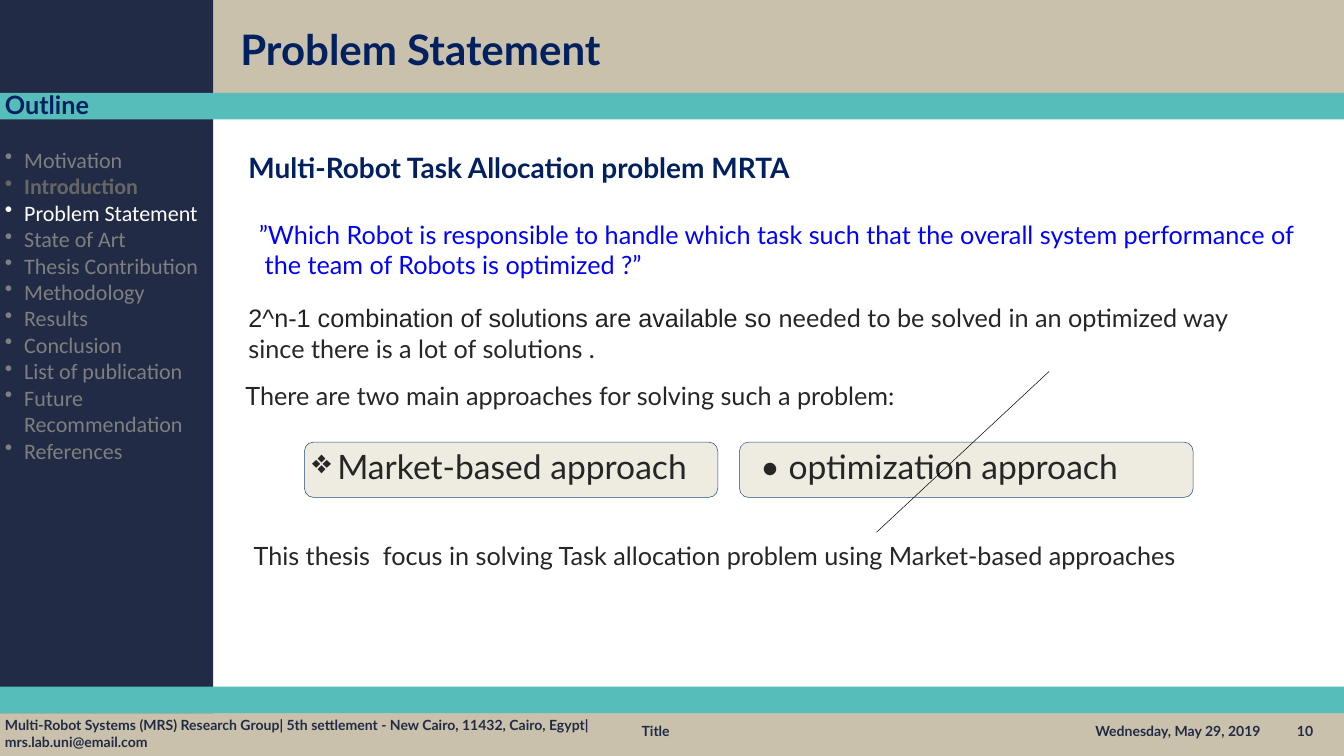
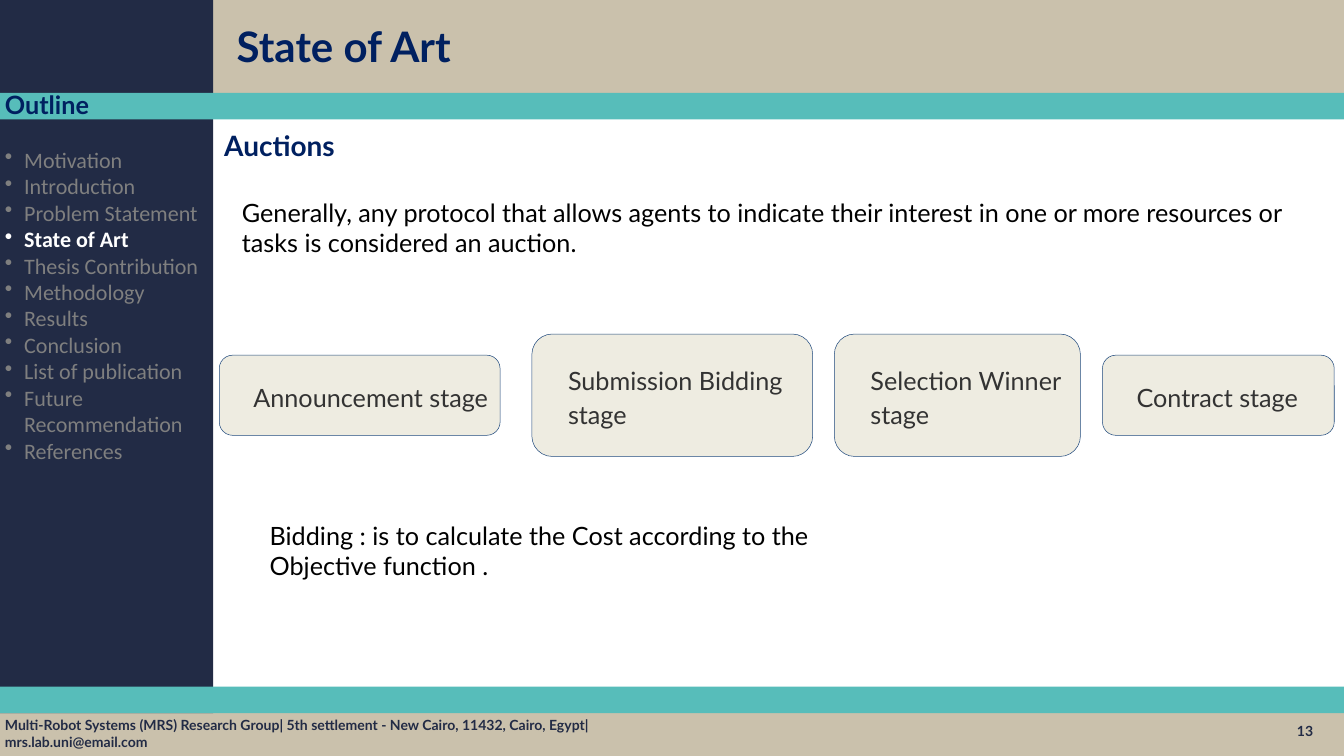
from lxml.etree import SubElement
from pptx import Presentation
from pptx.dml.color import RGBColor
from pptx.enum.shapes import MSO_CONNECTOR, MSO_SHAPE
from pptx.enum.text import MSO_ANCHOR, PP_ALIGN
from pptx.oxml.ns import qn
from pptx.util import Cm, Pt

SAND = RGBColor(0xCA, 0xC1, 0xAC)
INK = RGBColor(0x22, 0x2B, 0x45)
TEAL = RGBColor(0x57, 0xBD, 0xBA)
NAVY = RGBColor(0x00, 0x20, 0x60)
CREAM = RGBColor(0xEE, 0xEC, 0xE1)
EDGE = RGBColor(0x1F, 0x49, 0x7D)
BLUE = RGBColor(0x00, 0x00, 0xFF)
CHARCOAL = RGBColor(0x26, 0x26, 0x26)
COAL = RGBColor(0x22, 0x22, 0x22)
STAGE_TEXT = RGBColor(0x33, 0x33, 0x33)
GREY = RGBColor(0x7F, 0x7F, 0x7F)
DIM = RGBColor(0x66, 0x66, 0x66)
WHITE = RGBColor(0xFF, 0xFF, 0xFF)
BLACK = RGBColor(0x00, 0x00, 0x00)

WIDTH, HEIGHT = 67.72, 38.1
MIDDLE, TOP = MSO_ANCHOR.MIDDLE, MSO_ANCHOR.TOP

BANDS = [  # left, top, width, height, colour
    (0, 35.81, WIDTH, 2.29, SAND),
    (0, 0, WIDTH, 5, SAND),
    (0, 0, 10.74, 35.94, INK),
    (0, 34.6, WIDTH, 1.34, TEAL),
    (0, 4.68, WIDTH, 1.34, TEAL),
]
ADDRESS = ("Multi-Robot Systems (MRS) Research Group| 5th settlement - "
           "New Cairo, 11432, Cairo, Egypt| mrs.lab.uni@email.com")
OUTLINE = ["Motivation", "Introduction", "Problem Statement", "State of Art",
           "Thesis Contribution", "Methodology", "Results", "Conclusion",
           "List of publication", "Future Recommendation", "References"]


def write(shape, lines, size, color, bold=False, font="Lato", anchor=TOP,
          pad=0.25, margin=0, indent=0, bullet=None):
    """Fill a shape with paragraphs of one style and return its paragraphs."""
    frame = shape.text_frame
    frame.word_wrap = True
    frame.vertical_anchor = anchor
    frame.margin_left = frame.margin_right = Cm(0.25)
    frame.margin_top = frame.margin_bottom = Cm(pad)
    frame.text = "\n".join(lines)
    for paragraph in frame.paragraphs:
        paragraph.alignment = PP_ALIGN.LEFT
        properties = paragraph._p.get_or_add_pPr()
        properties.set("marL", str(Cm(margin)))
        properties.set("indent", str(Cm(indent)))
        if bullet:
            SubElement(properties, qn("a:buChar"), char=bullet)
        paragraph.font.name = font
        paragraph.font.size = Pt(size)
        paragraph.font.bold = bold
        paragraph.font.color.rgb = color
    return frame.paragraphs


def add_block(slide, kind, left, top, width, height, fill, line=None):
    block = slide.shapes.add_shape(kind, Cm(left), Cm(top), Cm(width), Cm(height))
    block.shadow.inherit = False
    block.fill.solid()
    block.fill.fore_color.rgb = fill
    if line is None:
        block.line.fill.background()
    else:
        block.line.color.rgb = line
        block.line.width = Pt(0.75)
    return block


deck = Presentation()
deck.slide_width, deck.slide_height = Cm(WIDTH), Cm(HEIGHT)

# Shared frame: bands, title, footer and outline with its highlighted entries
pages = [
    ("Problem Statement", (11.86, 0.66, 27.81, 3.61),
     [("10", 65.1, 2.54), ("Title", 32.08, 22.86),
      ("Wednesday, May 29, 2019", 54.94, 10.16)],
     {"Introduction": (DIM, True), "Problem Statement": (WHITE, False)}),
    ("State of Art", (11.68, 0, 27.81, 4.65),
     [("13", 65.1, 2.54)],
     {"State of Art": (WHITE, True)}),
]
for title, title_place, footers, highlights in pages:
    slide = deck.slides.add_slide(deck.slide_layouts[6])
    for *place, color in BANDS:
        add_block(slide, MSO_SHAPE.RECTANGLE, *place, color)

    address = slide.shapes.add_textbox(Cm(0), Cm(35.94), Cm(32.08), Cm(2.03))
    write(address, [ADDRESS], 20, INK, True, anchor=MIDDLE, pad=0.13)
    for footer, left, width in footers:
        foot = slide.shapes.add_textbox(Cm(left), Cm(35.81), Cm(width), Cm(2.03))
        write(foot, [footer], 20, INK, True, anchor=MIDDLE, pad=0.13)

    heading = slide.shapes.add_textbox(*map(Cm, title_place))
    write(heading, [title], 60, NAVY, True, anchor=MIDDLE, pad=0.13)

    outline_head = slide.shapes.add_textbox(Cm(0), Cm(4.65), Cm(10.46), Cm(1.19))
    write(outline_head, ["Outline"], 36, NAVY, True, anchor=MIDDLE, pad=0.13)
    outline = slide.shapes.add_textbox(Cm(0), Cm(7.24), Cm(10.67), Cm(26.59))
    entries = write(outline, OUTLINE, 31.5, GREY, font="Calibri", pad=0.13,
                    margin=0.97, indent=-0.97, bullet="•")
    for entry in entries:
        if entry.text in highlights:
            entry.font.color.rgb, entry.font.bold = highlights[entry.text]

problem, art = deck.slides

# Problem Statement: heading
topic = problem.shapes.add_textbox(Cm(12.27), Cm(7.24), Cm(53.47), Cm(2.41))
write(topic, ["Multi-Robot Task Allocation problem MRTA"], 40, NAVY, True,
      anchor=MIDDLE, pad=0.13)

# Problem Statement: question, lead-in and conclusion
statements = [  # text, place, colour, top padding, margin, indent
    ("There are two main approaches for solving such a problem:",
     (12.12, 19.05, 53.75, 2.79), CHARCOAL, 0.13, 0, 0),
    ("”Which Robot is responsible to handle which task such that the overall "
     "system performance of the team of Robots is optimized ?”",
     (12.12, 10.8, 54.41, 3.61), BLUE, 0.25, 0.97, -0.3),
    ("This thesis  focus in solving Task allocation problem using "
     "Market-based approaches",
     (11.86, 27, 49.15, 3.61), CHARCOAL, 0.25, 0.97, -0.3),
]
for text, place, color, pad, margin, indent in statements:
    statement = problem.shapes.add_textbox(*map(Cm, place))
    write(statement, [text], 36, color, pad=pad, margin=margin, indent=indent)

# Problem Statement: number of solutions, in two fonts
solutions = problem.shapes.add_textbox(Cm(12.27), Cm(15.01), Cm(52.15), Cm(4.04))
sentence = write(solutions, [""], 36, CHARCOAL)[0]
for text, font, color in [
    ("2^n-1 combination of solutions are available so ", "Arial", COAL),
    ("needed to be solved in an optimized way since there is a lot of "
     "solutions .", "Lato", CHARCOAL),
]:
    part = sentence.add_run()
    part.text = text
    part.font.name = font
    part.font.size = Pt(36)
    part.font.color.rgb = color

# Problem Statement: two approaches, the second struck out
for text, left, width, margin, indent, bullet in [
    ("• optimization approach", 37.26, 22.86, 0.97, -0.3, None),
    ("Market-based approach", 15.34, 20.83, 1.27, -1.47, "❖"),
]:
    approach = add_block(problem, MSO_SHAPE.ROUNDED_RECTANGLE,
                         left, 22.28, width, 2.79, CREAM, EDGE)
    write(approach, [text], 48, CHARCOAL, pad=0.05,
          margin=margin, indent=indent, bullet=bullet)

strike = problem.shapes.add_connector(MSO_CONNECTOR.STRAIGHT, Cm(52.86), Cm(18.72),
                                      Cm(44.17), Cm(26.82))
strike.line.color.rgb = BLACK
strike.line.width = Pt(0.75)
SubElement(strike._element.spPr, qn("a:effectLst"))

# State of Art: heading, definition and note on bidding
for text, place, size, color, bold in [
    ("Auctions", (11.05, 6.25, 18.62, 2.41), 40, NAVY, True),
    ("Generally, any protocol that allows agents to indicate their interest in "
     "one or more resources or tasks is considered an auction.",
     (11.94, 9.7, 54, 7.16), 36, BLACK, False),
    ("Bidding : is to calculate the Cost according to the Objective function .",
     (13.34, 25.96, 28.63, 6.45), 36, BLACK, False),
]:
    passage = art.shapes.add_textbox(*map(Cm, place))
    write(passage, [text], size, color, bold)

# State of Art: auction stages, centred on one line
STAGE_CENTRE = 19.92
for text, left, width, height in [
    ("Announcement stage", 11.05, 14.15, 4.04),
    ("Submission Bidding stage", 26.8, 14.15, 6.17),
    ("Selection Winner stage", 42.04, 12.4, 6.17),
    ("Contract stage", 55.55, 11.68, 4.04),
]:
    stage = add_block(art, MSO_SHAPE.ROUNDED_RECTANGLE, left,
                      STAGE_CENTRE - height / 2, width, height, CREAM, EDGE)
    label = write(stage, [text], 36, STAGE_TEXT, anchor=MIDDLE, margin=1.27)[0]
    label.line_spacing = 1.15

deck.save("out.pptx")
